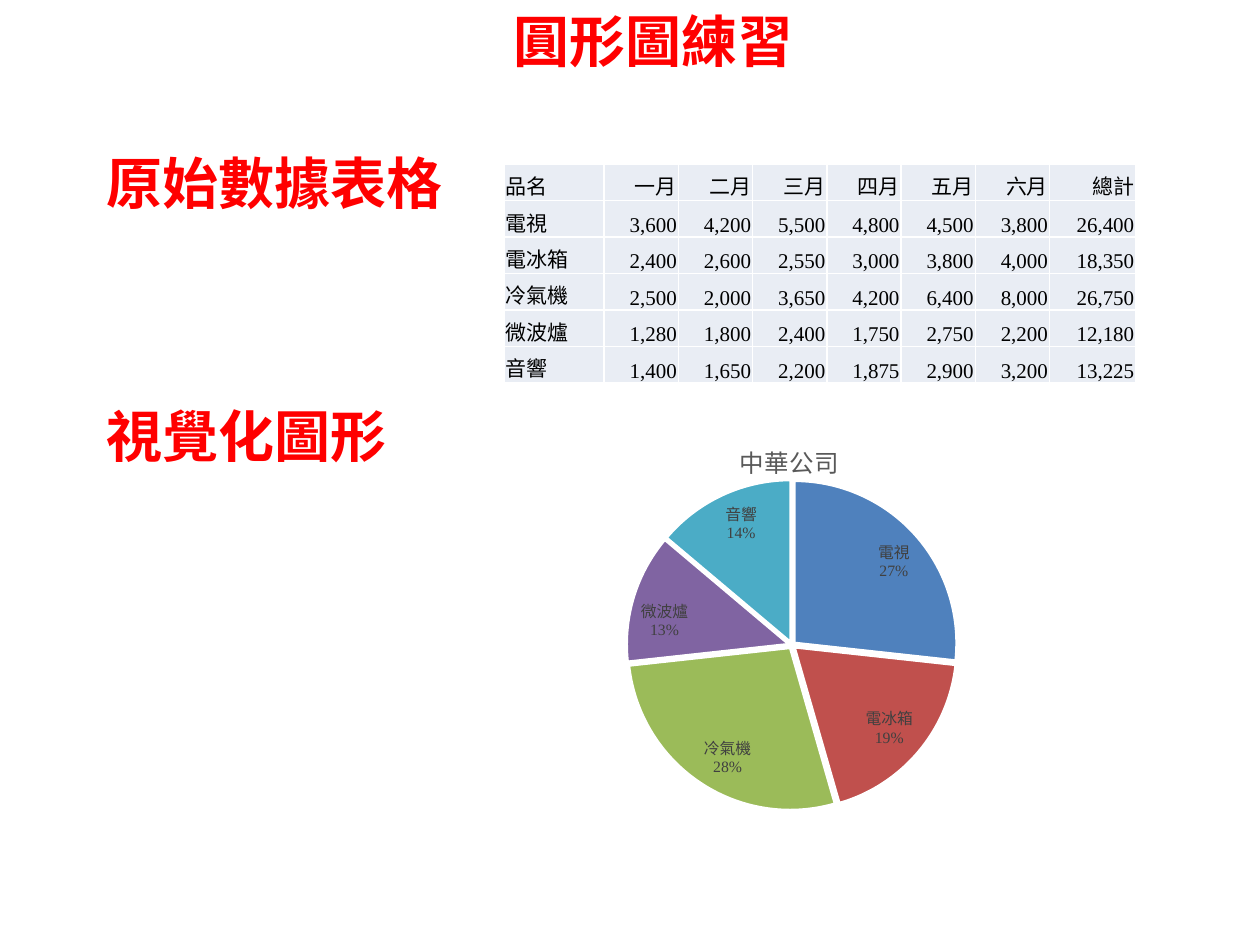
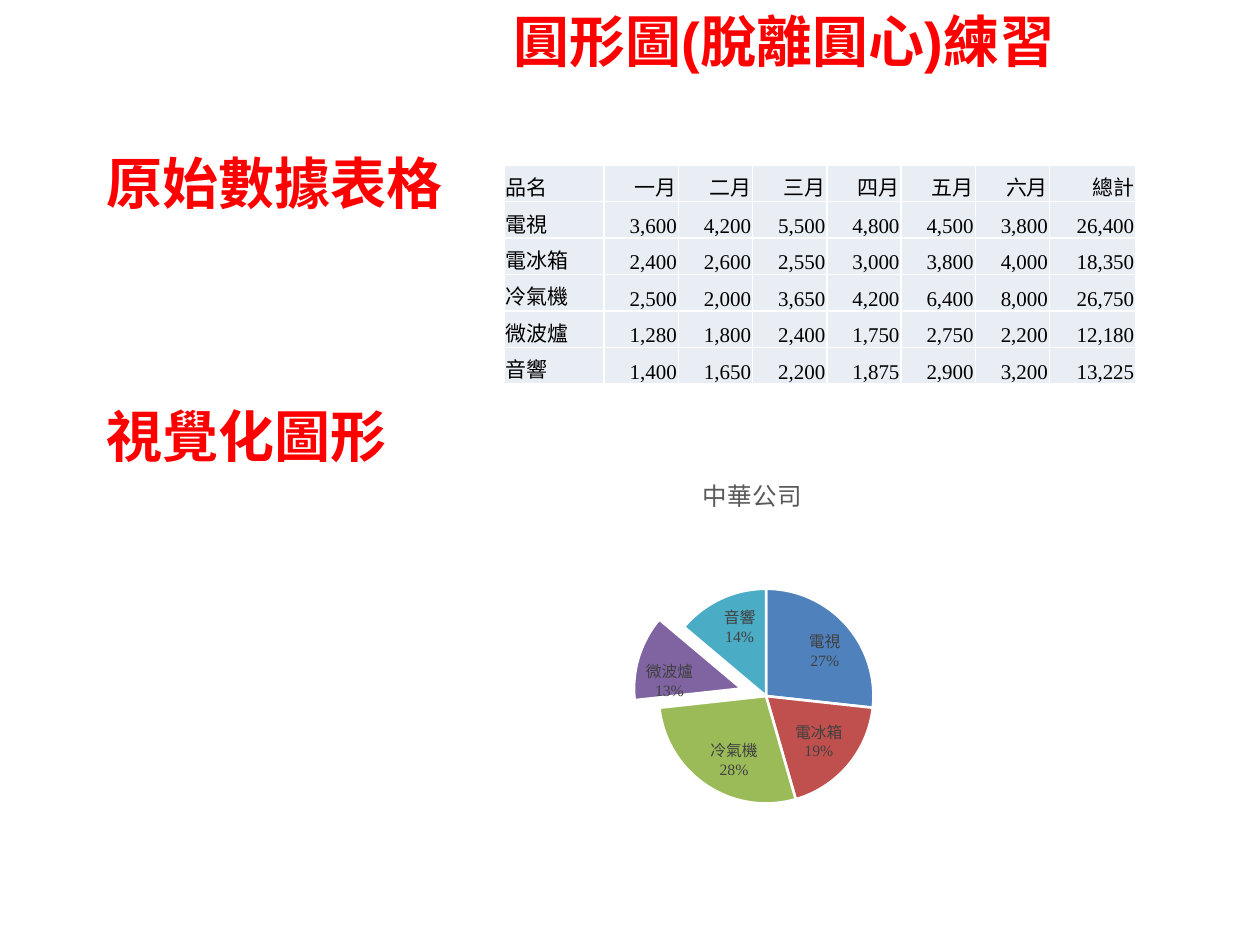
import collections
import dataclasses

import lxml.etree
import pptx
import pptx.chart.data
import pptx.dml.color
import pptx.enum.chart
import pptx.enum.text
import pptx.oxml
import pptx.oxml.ns
import pptx.util

Cm = pptx.util.Cm
Pt = pptx.util.Pt
Box = collections.namedtuple("Box", "left top width height")


@dataclasses.dataclass(frozen=True)
class Theme:
    """Colours, fonts and type sizes shared by the slides."""
    head: str = "FF0000"
    ink: str = "000000"
    label: str = "404040"
    title: str = "595959"
    cell: str = "E9EDF4"
    rule: str = "FFFFFF"
    slices: tuple = ("4F81BD", "C0504D", "9BBB59", "8064A2", "4BACC6")
    sans: str = "Arial"
    serif: str = "Times New Roman"
    head_size: int = 32
    title_size: int = 14
    cell_size: int = 12
    chart_size: int = 10
    label_size: int = 9


THEME = Theme()
MONTHS = ["一月", "二月", "三月", "四月", "五月", "六月"]
SALES = {
    "電視": [3600, 4200, 5500, 4800, 4500, 3800],
    "電冰箱": [2400, 2600, 2550, 3000, 3800, 4000],
    "冷氣機": [2500, 2000, 3650, 4200, 6400, 8000],
    "微波爐": [1280, 1800, 2400, 1750, 2750, 2200],
    "音響": [1400, 1650, 2200, 1875, 2900, 3200],
}
SHARES = [27, 19, 28, 13, 14]


def rgb(code):
    """Turn a hex code into a colour."""
    return pptx.dml.color.RGBColor.from_string(code)


def style(font, name, size, color, bold=False):
    """Set the face, size and colour of a font."""
    font.name, font.size, font.bold = name, Pt(size), bold
    font.color.rgb = rgb(color)


def write_head(shape, box, text):
    """Fill a shape with a red heading and move it to its box."""
    shape.left, shape.top, shape.width, shape.height = map(Cm, box)
    frame = shape.text_frame
    frame.text = text
    frame.word_wrap = True
    frame.auto_size = pptx.enum.text.MSO_AUTO_SIZE.SHAPE_TO_FIT_TEXT
    frame.vertical_anchor = pptx.enum.text.MSO_ANCHOR.TOP
    para = frame.paragraphs[0]
    para.alignment = pptx.enum.text.PP_ALIGN.LEFT
    style(para.runs[0].font, THEME.sans, THEME.head_size, THEME.head, True)


def rule_cell(cell):
    """Draw a thin rule on each side of a cell."""
    props = cell._tc.get_or_add_tcPr()
    for spot, side in enumerate(("lnL", "lnR", "lnT", "lnB")):
        line = pptx.oxml.parse_xml(
            f'<a:{side} {pptx.oxml.ns.nsdecls("a")} w="{Pt(1)}"><a:solidFill>'
            f'<a:srgbClr val="{THEME.rule}"/></a:solidFill></a:{side}>')
        props.insert(spot, line)


def fill_cell(cell, text, align):
    """Write and format one table cell."""
    cell.text = text
    cell.margin_left = cell.margin_right = cell.margin_top = Cm(0.03)
    cell.margin_bottom = 0
    cell.vertical_anchor = pptx.enum.text.MSO_ANCHOR.BOTTOM
    cell.fill.solid()
    cell.fill.fore_color.rgb = rgb(THEME.cell)
    para = cell.text_frame.paragraphs[0]
    para.alignment = align
    style(para.runs[0].font, THEME.serif, THEME.cell_size, THEME.ink)
    rule_cell(cell)


def add_sales(slide, box):
    """Add the table of monthly sales with row totals."""
    rows = [["品名", *MONTHS, "總計"]]
    for name, sales in SALES.items():
        rows.append([name, *(f"{value:,}" for value in (*sales, sum(sales)))])
    table = slide.shapes.add_table(len(rows), len(rows[0]), *map(Cm, box)).table
    table.first_row = table.horz_banding = False
    first, last = 2.02, 1.74
    month = (box.width - first - last) / len(MONTHS)
    for col, width in zip(table.columns, [first, *[month] * len(MONTHS), last]):
        col.width = Cm(width)
    for row, texts in zip(table.rows, rows):
        row.height = Cm(box.height / len(rows))
        for spot, (cell, text) in enumerate(zip(row.cells, texts)):
            align = pptx.enum.text.PP_ALIGN
            fill_cell(cell, text, align.RIGHT if spot else align.LEFT)


def set_layout(host, spot, inner=False, **parts):
    """Give a chart part a fixed place, as shares of the chart."""
    for old in host.findall(pptx.oxml.ns.qn("c:layout")):
        host.remove(old)
    tags = [("layoutTarget", "inner")] if inner else []
    tags += [("xMode", "edge"), ("yMode", "edge"), *parts.items()]
    body = "".join(f'<c:{tag} val="{value}"/>' for tag, value in tags)
    host.insert(spot, pptx.oxml.parse_xml(
        f'<c:layout {pptx.oxml.ns.nsdecls("c")}><c:manualLayout>{body}'
        '</c:manualLayout></c:layout>'))


def paint_slices(series, bursts):
    """Colour the slices and pull each out by its percentage."""
    qn = pptx.oxml.ns.qn
    for spot, color in enumerate(THEME.slices):
        form = series.points[spot].format
        form.fill.solid()
        form.fill.fore_color.rgb = rgb(color)
        form.line.color.rgb = rgb(THEME.rule)
        form.line.width = Pt(1.5)
    for point, burst in zip(series._element.findall(qn("c:dPt")), bursts):
        pull = lxml.etree.Element(qn("c:explosion"), val=str(burst))
        point.find(qn("c:spPr")).addprevious(pull)


def label_slices(plot):
    """Show the name and share inside each slice."""
    plot.has_data_labels = True
    labels = plot.data_labels
    labels.show_category_name = labels.show_percentage = True
    labels.show_value = False
    labels.number_format, labels.number_format_is_linked = "0%", False
    labels.position = pptx.enum.chart.XL_LABEL_POSITION.INSIDE_END
    style(labels.font, THEME.serif, THEME.label_size, THEME.label)
    gap = lxml.etree.Element(pptx.oxml.ns.qn("c:separator"))
    gap.text = "\n"
    labels._element.find(pptx.oxml.ns.qn("c:showBubbleSize")).addnext(gap)


def add_pie(slide, box, bursts, title_at, plot_at):
    """Add the pie chart of each product's share."""
    data = pptx.chart.data.CategoryChartData()
    data.categories = list(SALES)
    data.add_series("Series 1", SHARES)
    kind = pptx.enum.chart.XL_CHART_TYPE.PIE
    chart = slide.shapes.add_chart(kind, *map(Cm, box), data).chart
    style(chart.font, THEME.serif, THEME.chart_size, THEME.ink)
    chart.has_legend = False
    chart.has_title = True
    frame = chart.chart_title.text_frame
    frame.text = "中華公司"
    style(frame.paragraphs[0].runs[0].font, THEME.serif, THEME.title_size, THEME.title)
    set_layout(chart.chart_title._element, 1, **title_at)
    plot = chart.plots[0]
    plot.vary_by_categories = True
    set_layout(plot._element.getparent(), 0, True, **plot_at)
    label_slices(plot)
    paint_slices(plot.series[0], bursts)


def add_page(deck, title, width, table_top, pie):
    """Add a slide with its title, two headings, table and pie."""
    slide = deck.slides.add_slide(deck.slide_layouts[5])
    write_head(slide.shapes.title, Box(10.1, 0, width, 1.62), title)
    for top, text in ((2.87, "原始數據表格"), (7.97, "視覺化圖形")):
        box = Box(1.9, top, 7.6, 1.62)
        write_head(slide.shapes.add_textbox(*map(Cm, box)), box, text)
    add_sales(slide, Box(10.16, table_top, 12.74, 4.41))
    add_pie(slide, **pie)


def main():
    """Build both slides and save the deck."""
    deck = pptx.Presentation()
    deck.slide_width, deck.slide_height = Cm(25.4), Cm(19.05)
    add_page(deck, "圓形圖練習", 6.3, 3.31, dict(
        box=Box(7.04, 8.53, 17.68, 8.53), bursts=[2] * 5,
        title_at=dict(x=0.44, y=0.03),
        plot_at=dict(x=0.32, y=0.13, w=0.37, h=0.79)))
    add_page(deck, "圓形圖(脫離圓心)練習", 12.6, 3.33, dict(
        box=Box(8.31, 9.12, 13.72, 8.33), bursts=[0, 0, 0, 24, 0],
        title_at=dict(x=0.42, y=0.04),
        plot_at=dict(x=0.36, y=0.33, w=0.32, h=0.52)))
    deck.save("out.pptx")


if __name__ == "__main__":
    main()
